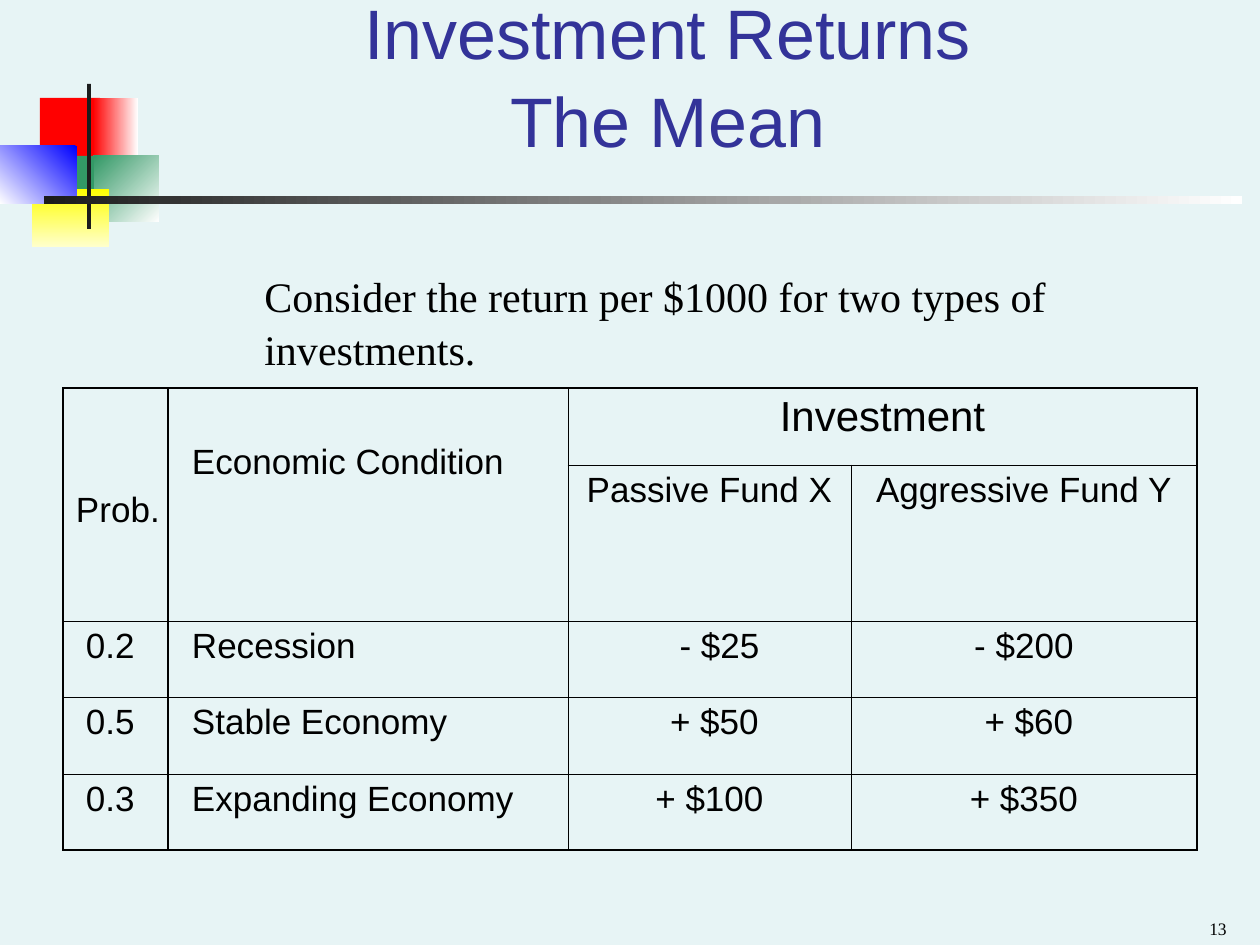
from dataclasses import dataclass

from lxml import etree
from pptx import Presentation
from pptx import util as u
from pptx.dml.color import RGBColor
from pptx.enum import shapes, text
from pptx.oxml.ns import qn

PX = 914400 / 126  # EMU in one px


@dataclass(frozen=True)
class Theme:
    background: str = "E7F4F5"
    ink: str = "000000"
    title: str = "333399"
    dark: str = "1C1C1C"
    white: str = "FFFFFF"
    red: str = "FF0000"
    green: str = "339966"
    blue: str = "0000FF"
    yellow: str = "FFFF00"
    cream: str = "FFFFCC"
    sans: str = "Arial"
    serif: str = "Times New Roman"
    title_size: int = 40
    body_size: int = 24
    cell_size: int = 20
    number_size: int = 10
    outer_border: float = 1.08
    inner_border: float = 0.45


THEME = Theme()
LEFT, CENTER, RIGHT = (text.PP_ALIGN.LEFT, text.PP_ALIGN.CENTER,
                       text.PP_ALIGN.RIGHT)
INSET_X, INSET_Y = 13, 6
TAB = 116  # from the left inset to the economic condition


def emu(*lengths):
    return [u.Emu(round(length * PX)) for length in lengths]


def rgb(colour):
    return RGBColor.from_string(colour)


def style(paragraph, size, font=THEME.sans, colour=THEME.ink, align=LEFT):
    paragraph.alignment = align
    paragraph.font.name = font
    paragraph.font.size = u.Pt(size)
    paragraph.font.color.rgb = rgb(colour)


def add_text(slide, box, words, anchor=text.MSO_ANCHOR.TOP, spacing=None, **look):
    frame = slide.shapes.add_textbox(*emu(*box)).text_frame
    frame.word_wrap = True
    frame.vertical_anchor = anchor
    frame.text = words
    frame.paragraphs[0].line_spacing = spacing
    style(frame.paragraphs[0], **look)


def add_block(slide, box, colours, angle=0):
    """Rectangle in one colour, or in a gradient of two at a clockwise angle."""
    block = slide.shapes.add_shape(shapes.MSO_SHAPE.RECTANGLE, *emu(*box))
    block.shadow.inherit = False
    block.line.fill.background()
    if len(colours) == 1:
        block.fill.solid()
        block.fill.fore_color.rgb = rgb(colours[0])
        return
    block.fill.gradient()
    block.fill.gradient_angle = 360 - angle
    for stop, colour in zip(block.fill.gradient_stops, colours):
        stop.color.rgb = rgb(colour)


def add_ornament(slide, left, top):
    t = THEME
    for (x, y, width, height), colours, angle in (
        ((40, 14, 60, 66), (t.red,), 0),
        ((93, 14, 45, 66), (t.white, t.red), 180),
        ((94, 72, 65, 66), (t.white, t.green), 225),
        ((54, 72, 40, 66), (t.green,), 0),
        ((32, 105, 77, 58), (t.yellow, t.cream), 90),
        ((0, 62, 77, 58), (t.blue, t.white), 135),
        ((87, 0, 4, 145), (t.dark,), 0),
        ((44, 112, 1198, 8), (t.white, t.dark), 180),
    ):
        add_block(slide, (left + x, top + y, width, height), colours, angle)


def add_borders(cell, row, column, last_row, last_column):
    """Thick lines on the table's outside, thin ones within it."""
    outside = {
        "L": column == 0,
        "R": column + cell.span_width - 1 == last_column,
        "T": row == 0,
        "B": row + cell.span_height - 1 == last_row,
    }
    properties = cell._tc.get_or_add_tcPr()
    for side, is_outer in outside.items():
        width = THEME.outer_border if is_outer else THEME.inner_border
        line = etree.SubElement(properties, qn(f"a:ln{side}"), w=str(u.Pt(width)))
        fill = etree.SubElement(line, qn("a:solidFill"))
        etree.SubElement(fill, qn("a:srgbClr"), val=THEME.ink)


def fill_cell(cell, words, size=THEME.cell_size, align=CENTER, indent=0, drop=0):
    """Write a cell; indent and drop widen its left and top insets."""
    cell.margin_left, cell.margin_right, cell.margin_top, cell.margin_bottom = emu(
        INSET_X + indent, INSET_X, INSET_Y + drop, INSET_Y)
    cell.text = words
    for paragraph in cell.text_frame.paragraphs:
        paragraph.space_before = u.Pt(size / 4)
        if "\t" in words:
            tabs = etree.SubElement(paragraph._p.get_or_add_pPr(), qn("a:tabLst"))
            etree.SubElement(tabs, qn("a:tab"), pos=str(emu(TAB - indent)[0]),
                             algn="l")
        style(paragraph, size, align=align)


def add_returns_table(slide, left, top):
    columns, rows = (505, 283, 346), (77, 156, 76, 77, 76)
    width, height = sum(columns), sum(rows)
    table = slide.shapes.add_table(
        len(rows), len(columns), *emu(left, top, width, height)).table
    table.first_row = table.horz_banding = False
    for column, length in zip(table.columns, emu(*columns)):
        column.width = length
    for row, length in zip(table.rows, emu(*rows)):
        row.height = length

    table.cell(0, 0).merge(table.cell(1, 0))
    table.cell(0, 1).merge(table.cell(0, 2))
    fill_cell(table.cell(0, 0), "\tEconomic Condition\nProb.", align=LEFT, drop=49)
    fill_cell(table.cell(0, 1), "Investment", THEME.body_size)
    fill_cell(table.cell(1, 1), "Passive Fund X")
    fill_cell(table.cell(1, 2), "Aggressive Fund Y")

    outcomes = (
        ("0.2\tRecession", ("- $25", 20), ("- $200", 0)),
        ("0.5\tStable Economy", ("+ $50", 10), ("+ $60", 10)),
        ("0.3\tExpanding Economy", ("+ $100", 0), ("+ $350", 0)),
    )
    for row, (condition, *returns) in enumerate(outcomes, 2):
        fill_cell(table.cell(row, 0), condition, align=LEFT, indent=10)
        for column, (amount, indent) in enumerate(returns, 1):
            fill_cell(table.cell(row, column), amount, indent=indent)

    for row in range(len(rows)):
        for column in range(len(columns)):
            cell = table.cell(row, column)
            if not cell.is_spanned:
                add_borders(cell, row, column, len(rows) - 1, len(columns) - 1)
            cell.fill.background()

    divider_x = left + 105
    divider = slide.shapes.add_connector(
        shapes.MSO_CONNECTOR.STRAIGHT, *emu(divider_x, top, divider_x, top + height))
    divider.line.color.rgb = rgb(THEME.ink)
    divider.line.width = u.Pt(0.75)
    etree.SubElement(divider._element.spPr, qn("a:effectLst"))


def build_slide(presentation):
    slide = presentation.slides.add_slide(presentation.slide_layouts[6])
    slide.background.fill.solid()
    slide.background.fill.fore_color.rgb = rgb(THEME.background)
    bottom = text.MSO_ANCHOR.BOTTOM
    add_ornament(slide, 0, 84)
    add_text(slide, (159, 32, 1017, 136), "Investment Returns\vThe Mean", bottom,
             size=THEME.title_size, colour=THEME.title, align=CENTER, spacing=1.05)
    add_text(slide, (252, 262, 882, 113),
             "Consider the return per $1000 for two types of investments.",
             size=THEME.body_size, font=THEME.serif, spacing=1.05)
    add_returns_table(slide, 63, 388)
    add_text(slide, (945, 901, 294, 44), "13", bottom,
             size=THEME.number_size, font=THEME.serif, align=RIGHT)


def main():
    presentation = Presentation()
    presentation.slide_width, presentation.slide_height = emu(1260, 945)
    build_slide(presentation)
    presentation.save("out.pptx")


if __name__ == "__main__":
    main()
